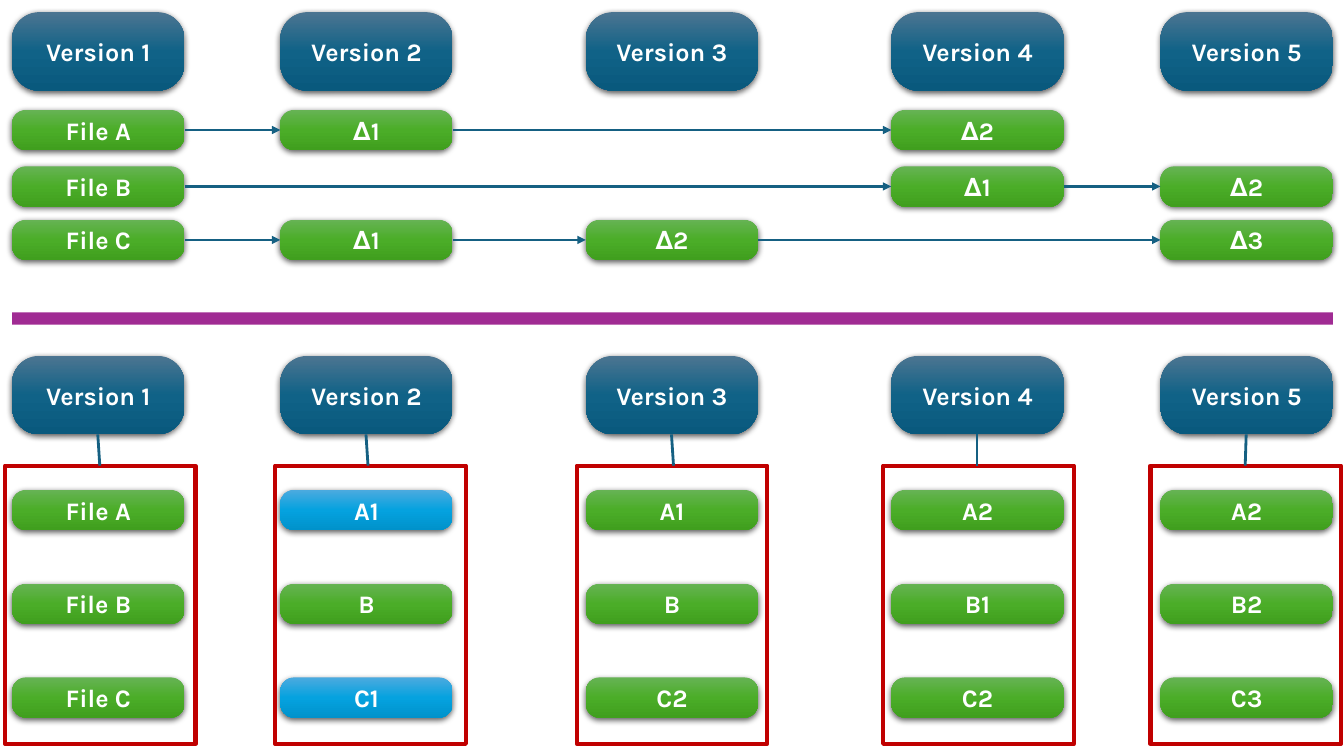
from copy import deepcopy
from dataclasses import dataclass
from itertools import pairwise

from lxml.etree import SubElement
from pptx import Presentation
from pptx.dml.color import RGBColor
from pptx.enum.shapes import MSO_CONNECTOR, MSO_SHAPE
from pptx.enum.text import MSO_ANCHOR, PP_ALIGN
from pptx.oxml.ns import qn
from pptx.util import Pt

PX = 9144


@dataclass(frozen=True)
class Theme:
    font: str = "Karla"
    label_size: int = 18
    label: str = "FFFFFF"
    version: tuple = ("4C7591", "106287", "09597D")
    file: tuple = ("66B354", "4BAD28", "409F1E")
    highlight: tuple = ("4CAADF", "05A2DF", "0092CB")
    divider: str = "A02B93"
    wire: str = "156082"
    frame: str = "C00000"
    arrow_width: float = 1.5
    stem_width: float = 2
    frame_width: float = 3


THEME = Theme()
COLUMNS = (12, 278, 581, 884, 1151)
BOX_WIDTH, VERSION_HEIGHT, FILE_HEIGHT = 171, 78, 40
FILES = ("File A", "File B", "File C")

DELTA_ROW_TOPS = (97, 153, 206)
DELTAS = (
    (FILES[0], "∆1", None, "∆2", None),
    (FILES[1], None, None, "∆1", "∆2"),
    (FILES[2], "∆1", "∆2", None, "∆3"),
)

SNAPSHOTS = (
    FILES,
    ("A1", "B", "C1"),
    ("A1", "B", "C2"),
    ("A2", "B1", "C2"),
    ("A2", "B2", "C3"),
)
CHANGED = {(1, "A1"), (1, "C1")}
FRAME_OFFSETS = (-7, -5, -9, -8, -10)
STEM_LEANS = (2, 2, 2, 0, -1)


def scaled(*lengths):
    return [length * PX for length in lengths]


def add_plain(slide, kind, left, top, width, height):
    shape = slide.shapes.add_shape(kind, *scaled(left, top, width, height))
    shape.shadow.inherit = False
    return shape


def paint_gradient(shape, colors):
    shape.fill.gradient()
    shape.fill.gradient_angle = 270
    stop_list = shape._element.spPr.find(".//" + qn("a:gsLst"))
    stop_list.append(deepcopy(stop_list[0]))
    for stop, position, color in zip(shape.fill.gradient_stops, (0, 0.5, 1), colors):
        stop.position = position
        stop.color.rgb = RGBColor.from_string(color)


def cast_shadow(shape):
    effects = shape._element.spPr.find(qn("a:effectLst"))
    shadow = SubElement(effects, qn("a:outerShdw"), blurRad=str(Pt(4.5)),
                        dist=str(Pt(1.5)), dir="5400000", algn="ctr", rotWithShape="0")
    black = SubElement(shadow, qn("a:srgbClr"), val="000000")
    SubElement(black, qn("a:alpha"), val="63000")


def add_box(slide, text, left, top, height, colors):
    box = add_plain(slide, MSO_SHAPE.ROUNDED_RECTANGLE, left, top, BOX_WIDTH, height)
    box.adjustments[0] = 0.35
    box.line.fill.background()
    paint_gradient(box, colors)
    cast_shadow(box)
    box.text_frame.vertical_anchor = MSO_ANCHOR.MIDDLE
    label = box.text_frame.paragraphs[0]
    label.text = text
    label.alignment = PP_ALIGN.CENTER
    label.font.name = THEME.font
    label.font.size = Pt(THEME.label_size)
    label.font.bold = True
    label.font.color.rgb = RGBColor.from_string(THEME.label)
    return box


def add_wire(slide, ends, width):
    wire = slide.shapes.add_connector(MSO_CONNECTOR.STRAIGHT, *scaled(*ends))
    wire.line.color.rgb = RGBColor.from_string(THEME.wire)
    wire.line.width = Pt(width)
    SubElement(wire._element.spPr, qn("a:effectLst"))
    return wire


def add_arrow(slide, source, target):
    arrow = add_wire(slide, (0, 0, 0, 0), THEME.arrow_width)
    arrow.begin_connect(source, 3)
    arrow.end_connect(target, 1)
    SubElement(arrow.line._get_or_add_ln(), qn("a:tailEnd"), type="triangle")


def add_versions(slide, top):
    for number, left in enumerate(COLUMNS, 1):
        add_box(slide, f"Version {number}", left, top, VERSION_HEIGHT, THEME.version)


def add_delta_history(slide, top):
    add_versions(slide, top)
    for row_top, row in zip(DELTA_ROW_TOPS, DELTAS):
        chain = [add_box(slide, text, left, top + row_top, FILE_HEIGHT, THEME.file)
                 for left, text in zip(COLUMNS, row) if text]
        for source, target in pairwise(chain):
            add_arrow(slide, source, target)


def add_divider(slide, left, top, width, height):
    divider = add_plain(slide, MSO_SHAPE.RECTANGLE, left, top, width, height)
    divider.fill.solid()
    divider.fill.fore_color.rgb = RGBColor.from_string(THEME.divider)
    divider.line.fill.background()


def add_frame(slide, left, top):
    frame = add_plain(slide, MSO_SHAPE.RECTANGLE, left, top, 189, 276)
    frame.fill.background()
    frame.line.color.rgb = RGBColor.from_string(THEME.frame)
    frame.line.width = Pt(THEME.frame_width)


def add_snapshot_history(slide, top):
    add_versions(slide, top)
    frame_top = top + 109
    for column, (left, snapshot) in enumerate(zip(COLUMNS, SNAPSHOTS)):
        for row, text in enumerate(snapshot):
            colors = THEME.highlight if (column, text) in CHANGED else THEME.file
            add_box(slide, text, left, top + 133 + 93 * row, FILE_HEIGHT, colors)
        add_frame(slide, left + FRAME_OFFSETS[column], frame_top)
        center = left + BOX_WIDTH // 2
        stem = (center, top + VERSION_HEIGHT, center + STEM_LEANS[column], frame_top)
        add_wire(slide, stem, THEME.stem_width)


def main():
    deck = Presentation()
    deck.slide_width, deck.slide_height = scaled(1333, 750)
    slide = deck.slides.add_slide(deck.slide_layouts[6])
    add_delta_history(slide, 12)
    add_divider(slide, 12, 310, 1310, 12)
    add_snapshot_history(slide, 353)
    deck.save("out.pptx")


if __name__ == "__main__":
    main()
